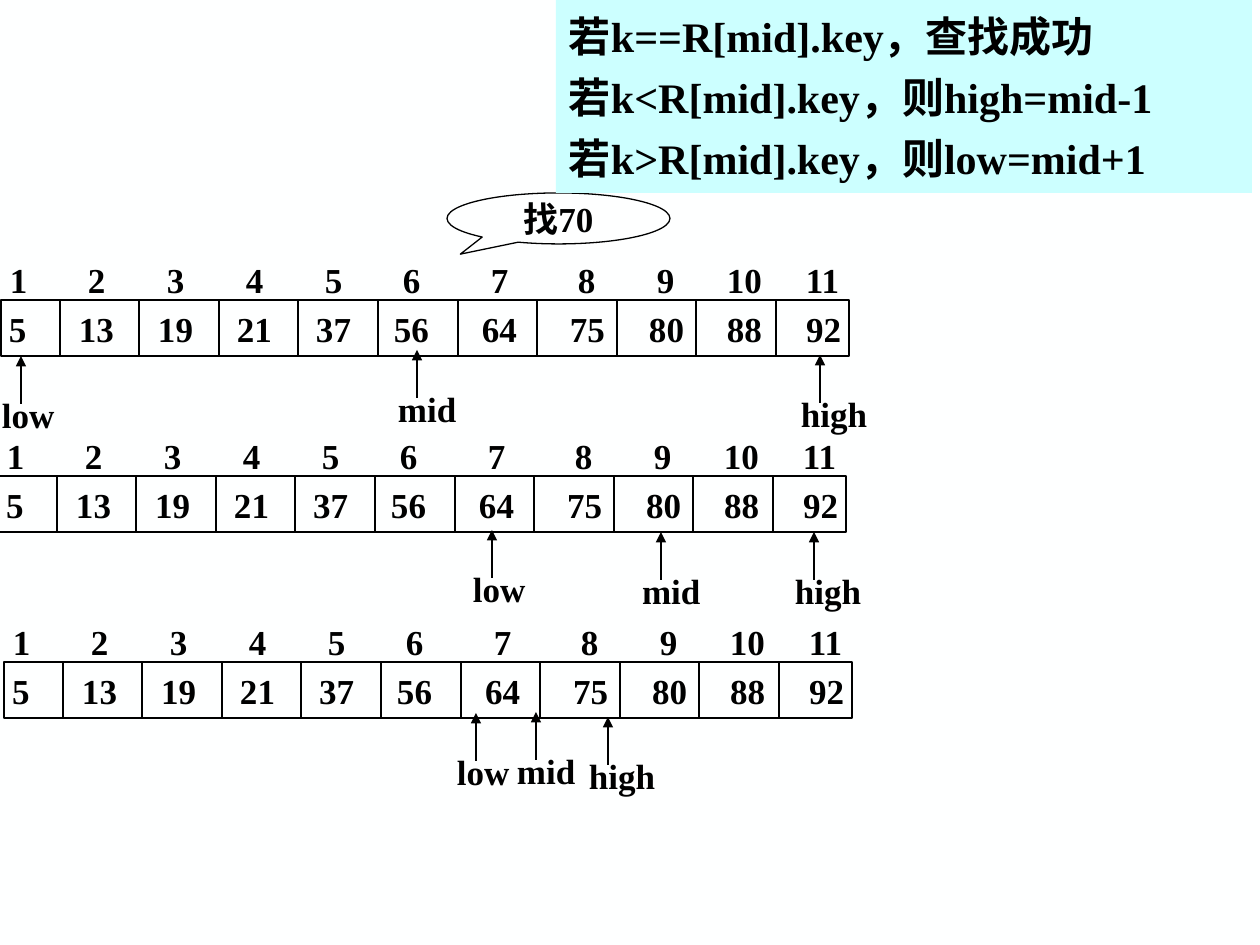
"""Build a slide that traces a binary search for 70 through three rounds."""
from dataclasses import dataclass
from itertools import accumulate

from lxml import etree
from pptx import Presentation
from pptx.dml.color import RGBColor
from pptx.enum.shapes import MSO_CONNECTOR, MSO_SHAPE
from pptx.enum.text import MSO_ANCHOR, PP_ALIGN
from pptx.oxml.ns import qn
from pptx.util import Emu, Pt

STRAIGHT = MSO_CONNECTOR.STRAIGHT
RECTANGLE = MSO_SHAPE.RECTANGLE
CALLOUT = MSO_SHAPE.OVAL_CALLOUT
MIDDLE, TOP = MSO_ANCHOR.MIDDLE, MSO_ANCHOR.TOP
CENTER, LEFT = PP_ALIGN.CENTER, PP_ALIGN.LEFT

BLACK = RGBColor(0x00, 0x00, 0x00)
PAPER = RGBColor(0xFE, 0xFF, 0xFF)
CYAN = RGBColor(0xCC, 0xFF, 0xFF)
FONT = "Times New Roman"
EMU_PER_INCH, PX_PER_INCH = 914400, 126

POSITIONS = [str(number) for number in range(1, 12)]
KEYS = ["5", "13", "19", "21", "37", "56", "64", "75", "80", "88", "92"]
POSITION_TABS = list(accumulate([78, 79, 79, 79, 78, 88, 87, 79, 70, 79]))
KEY_TABS = list(accumulate([70, 79, 79, 79, 78, 88, 88, 79, 78, 79]))
LABEL_WIDTHS = {"low": 77, "mid": 83, "high": 91}
RULES = [
    "若k==R[mid].key，查找成功",
    "若k<R[mid].key，则high=mid-1",
    "若k>R[mid].key，则low=mid+1",
]


@dataclass(frozen=True)
class Pointer:
    name: str
    x: int
    tip: int


@dataclass(frozen=True)
class SearchRound:
    left: int
    top: int
    pointers: tuple[Pointer, ...]


ROUNDS = [
    SearchRound(-3, 300, (Pointer("low", 21, 356), Pointer("high", 820, 355),
                          Pointer("mid", 417, 350))),
    SearchRound(-6, 476, (Pointer("low", 492, 530), Pointer("high", 814, 532),
                          Pointer("mid", 661, 532))),
    SearchRound(0, 662, (Pointer("low", 476, 713), Pointer("high", 608, 717),
                         Pointer("mid", 536, 712))),
]


def px(length: int) -> Emu:
    return Emu(round(length * EMU_PER_INCH / PX_PER_INCH))


def write(box, lines: list[str], size: int = 20, align=LEFT, anchor=TOP,
          insets: tuple[int, int, int, int] = (13, 6, 0, 6), tabs: list[int] | None = None) -> None:
    frame = box.text_frame
    frame.word_wrap = True
    frame.vertical_anchor = anchor
    frame.margin_left, frame.margin_top, frame.margin_right, frame.margin_bottom = map(px, insets)
    for number, line in enumerate(lines):
        para = frame.add_paragraph() if number else frame.paragraphs[0]
        para.text = line
        para.alignment = align
        if number:
            para.space_before = Pt(6)
        if tabs:
            stops = etree.SubElement(para._p.get_or_add_pPr(), qn("a:tabLst"))
            for stop in tabs:
                etree.SubElement(stops, qn("a:tab"), pos=str(px(stop)), algn="l")
        para.font.name = FONT
        para.font.size = Pt(size)
        para.font.bold = True
        para.font.color.rgb = BLACK


def add_box(page, kind, left: int, top: int, width: int, height: int, fill: RGBColor | None = None):
    box = page.shapes.add_shape(kind, px(left), px(top), px(width), px(height))
    box.shadow.inherit = False
    if fill is None:
        box.fill.background()
        box.line.color.rgb = BLACK
        box.line.width = Pt(0.75)
    else:
        box.fill.solid()
        box.fill.fore_color.rgb = fill
        box.line.fill.background()
    return box


def add_text(page, left: int, top: int, width: int):
    return page.shapes.add_textbox(px(left), px(top), px(width), px(55))


def add_vertical(page, x: int, start: int, end: int, arrow: bool = False) -> None:
    line = page.shapes.add_connector(STRAIGHT, px(x), px(start), px(x), px(end))
    line.line.color.rgb = BLACK
    line.line.width = Pt(0.75)
    if arrow:
        etree.SubElement(line.line._get_or_add_ln(), qn("a:tailEnd"), type="triangle")
    etree.SubElement(line._element.spPr, qn("a:effectLst"))


def add_pointer(page, pointer: Pointer) -> None:
    add_vertical(page, pointer.x, pointer.tip + 48, pointer.tip, arrow=True)
    label = add_text(page, pointer.x - 32, pointer.tip + 31, LABEL_WIDTHS[pointer.name])
    write(label, [pointer.name])


def add_round(page, search: SearchRound) -> None:
    header = add_text(page, search.left, search.top - 48, 858)
    write(header, ["\t".join(POSITIONS)], tabs=POSITION_TABS)
    cells = add_box(page, RECTANGLE, search.left + 4, search.top, 848, 56)
    write(cells, ["\t".join(KEYS)], anchor=MIDDLE, insets=(8, 6, 0, 6), tabs=KEY_TABS)
    for column in range(len(KEYS) - 1):
        add_vertical(page, search.left + 63 + column * 398 // 5, search.top, search.top + 56)
    for pointer in search.pointers:
        add_pointer(page, pointer)


def main() -> None:
    deck = Presentation()
    deck.slide_width, deck.slide_height = px(1260), px(945)
    page = deck.slides.add_slide(deck.slide_layouts[6])
    page.background.fill.solid()
    page.background.fill.fore_color.rgb = PAPER

    for search in ROUNDS:
        add_round(page, search)

    target = add_box(page, CALLOUT, 447, 193, 223, 51)
    target.adjustments[0], target.adjustments[1] = -0.44, 0.7
    write(target, ["找70"], align=CENTER, anchor=MIDDLE, insets=(13, 6, 13, 6))

    panel = add_box(page, RECTANGLE, 556, 0, 696, 193, CYAN)
    write(panel, RULES, size=24, anchor=MIDDLE, insets=(13, 6, 13, 6))
    deck.save("out.pptx")


if __name__ == "__main__":
    main()
